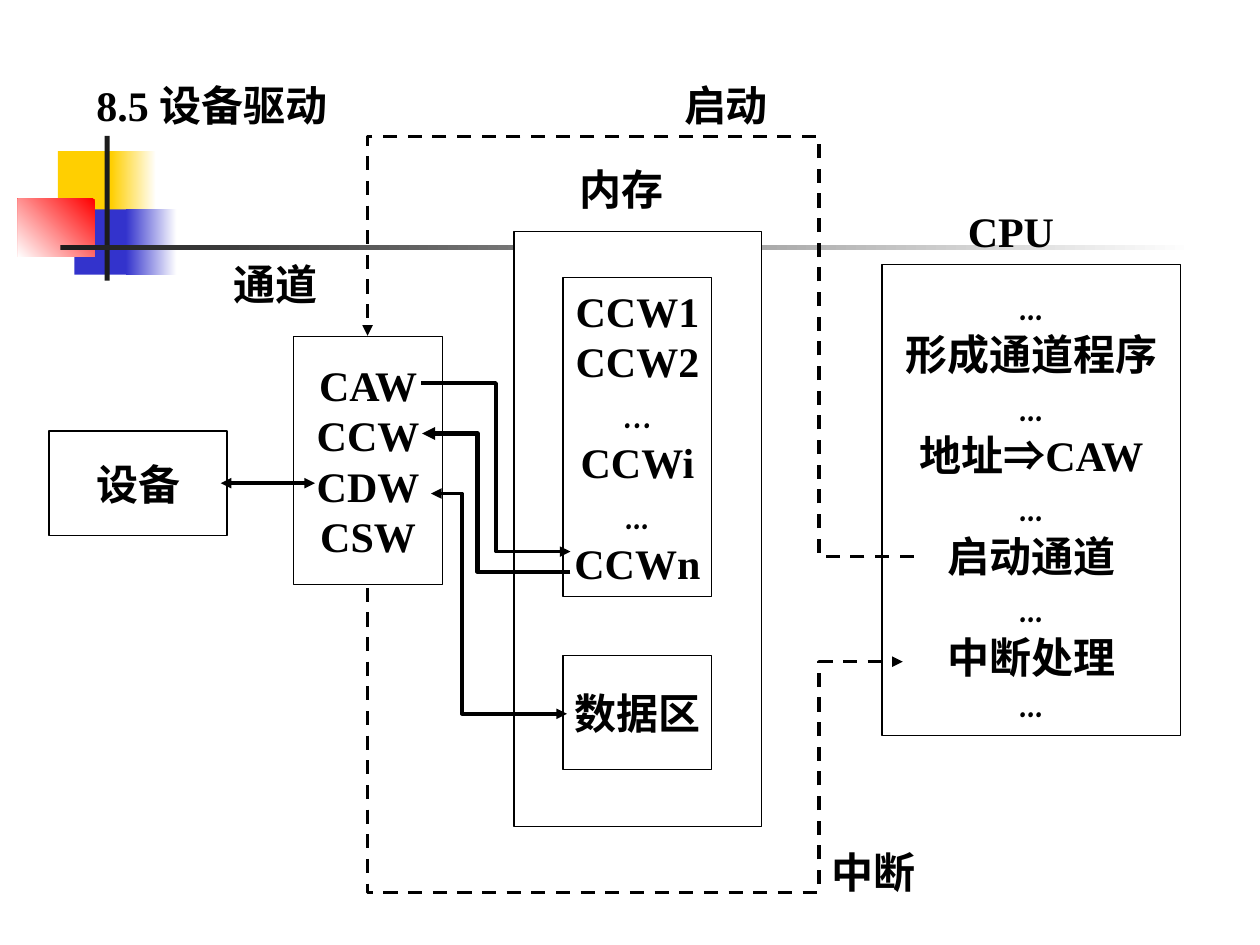
from lxml import etree
from pptx import Presentation
from pptx.dml.color import RGBColor
from pptx.enum.dml import MSO_LINE
from pptx.enum.shapes import MSO_CONNECTOR, MSO_SHAPE
from pptx.enum.text import MSO_ANCHOR, MSO_AUTO_SIZE, PP_ALIGN
from pptx.oxml.ns import qn
from pptx.util import Cm, Pt

RECTANGLE = MSO_SHAPE.RECTANGLE
STRAIGHT = MSO_CONNECTOR.STRAIGHT
DASH = MSO_LINE.DASH
TOP, MIDDLE = MSO_ANCHOR.TOP, MSO_ANCHOR.MIDDLE
NO_AUTOFIT = MSO_AUTO_SIZE.NONE
LEFT, CENTER = PP_ALIGN.LEFT, PP_ALIGN.CENTER

TITLE_ONLY = 5
BLACK, WHITE = "000000", "FFFFFF"
YELLOW, BLUE, RED, CHARCOAL = "FFCF01", "3333CC", "FF0000", "1C1C1C"
BODY_FONT = "Times New Roman"
SYMBOL_FONTS = {"...": "Comic Neue", "…": "Comic Neue", "⇒": "Arial"}

ORNAMENT = [
    (YELLOW, None, (1.17, 3.05, 1.22, 1.32)),
    (YELLOW, 0, (2.24, 3.05, 0.91, 1.32)),
    (BLUE, None, (1.5, 4.22, 1.17, 1.32)),
    (BLUE, 0, (2.54, 4.22, 1.02, 1.32)),
    (RED, 225, (0.36, 4.01, 1.55, 1.17)),
    (CHARCOAL, None, (2.11, 2.74, 0.1, 2.92)),
    (CHARCOAL, 0, (1.22, 4.94, 22.86, 0.1)),
]

CHANNEL_WORDS = ["CAW", "CCW", "CDW", "CSW"]
CHANNEL_PROGRAM = ["CCW1", "CCW2", "…", "CCWi", "...", "CCWn"]
CPU_STEPS = ["...", "形成通道程序", "...", "地址|⇒|CAW", "...",
             "启动通道", "...", "中断处理", "..."]

LABELS = [
    ("启动", 13.54, 1.48, 2.75),
    ("中断", 16.51, 16.93, 2.75),
    ("内存", 11.43, 3.18, 2.33),
    ("CPU", 19.26, 4.02, 2.75),
    ("通道", 4.45, 5.08, 2.54),
]


def color(hex_code):
    """Turn a hex string into a colour."""
    return RGBColor.from_string(hex_code)


def write_rows(frame, rows, align):
    """Write one paragraph per row, with a run for each part split by a bar."""
    for index, row in enumerate(rows):
        paragraph = frame.paragraphs[0] if index == 0 else frame.add_paragraph()
        paragraph.alignment = align
        for part in row.split("|"):
            run = paragraph.add_run()
            run.text = part
            run.font.name = SYMBOL_FONTS.get(part, BODY_FONT)
            run.font.size = Pt(24)
            run.font.bold = True
            run.font.color.rgb = color(BLACK)


def add_heading(slide, heading):
    """Place the section heading in the title placeholder."""
    title = slide.shapes.title
    title.left, title.top, title.width, title.height = map(Cm, (1.69, 1.48, 22.23, 1.27))
    frame = title.text_frame
    frame.auto_size = NO_AUTOFIT
    frame.vertical_anchor = TOP
    write_rows(frame, [heading], LEFT)


def add_ornament_bar(shapes, hue, fade_angle, bounds):
    """Add a solid bar, or one that fades to white along an angle."""
    bar = shapes.add_shape(RECTANGLE, *map(Cm, bounds))
    bar.shadow.inherit = False
    bar.line.fill.background()
    if fade_angle is None:
        bar.fill.solid()
        bar.fill.fore_color.rgb = color(hue)
        return
    bar.fill.gradient()
    bar.fill.gradient_angle = fade_angle
    for stop, stop_hue in zip(bar.fill.gradient_stops, (hue, WHITE)):
        stop.color.rgb = color(stop_hue)


def add_block(shapes, bounds, rows=()):
    """Add a white outlined block with centred rows."""
    block = shapes.add_shape(RECTANGLE, *map(Cm, bounds))
    block.shadow.inherit = False
    block.fill.solid()
    block.fill.fore_color.rgb = color(WHITE)
    block.line.color.rgb = color(BLACK)
    block.line.width = Pt(0.75)
    frame = block.text_frame
    frame.word_wrap = False
    frame.vertical_anchor = MIDDLE
    write_rows(frame, rows, CENTER)
    return frame


def add_label(shapes, caption, left, top, width):
    """Add a free-standing caption."""
    frame = shapes.add_textbox(Cm(left), Cm(top), Cm(width), Cm(1.27)).text_frame
    frame.word_wrap = True
    write_rows(frame, [caption], LEFT)


def style_line(line, ends, weight):
    """Colour a line and put arrowheads on the named ends."""
    line.color.rgb = color(BLACK)
    line.width = Pt(weight)
    outline = line._get_or_add_ln()
    for end in ends:
        etree.SubElement(outline, qn(f"a:{end}"), type="triangle")


def add_link(shapes, start, finish):
    """Add a straight two-way arrow."""
    link = shapes.add_connector(STRAIGHT, *map(Cm, start + finish))
    style_line(link.line, ("headEnd", "tailEnd"), 2)
    etree.SubElement(link._element.spPr, qn("a:effectLst"))


def add_route(shapes, corners, ends, weight=2, dashed=False):
    """Add an open angled route through the corners."""
    points = [(Cm(x), Cm(y)) for x, y in corners]
    builder = shapes.build_freeform(*points[0])
    builder.add_line_segments(points[1:], close=False)
    route = builder.convert_to_shape()
    route.shadow.inherit = False
    route.fill.background()
    if dashed:
        route.line.dash_style = DASH
    style_line(route.line, ends, weight)


def add_memory(shapes):
    """Group main memory with its channel program and data area."""
    memory = shapes.add_group_shape().shapes
    add_block(memory, (10.36, 4.67, 5, 11.99))
    add_block(memory, (11.35, 5.59, 3, 6.43), CHANNEL_PROGRAM)
    add_block(memory, (11.35, 13.21, 3, 2.31), ["数据区"])


def add_routes(shapes):
    """Draw the transfers and the start and interrupt signals."""
    add_link(shapes, (4.45, 9.74), (6.35, 9.74))
    add_route(shapes, [(11.5, 11.12), (10, 11.12), (10, 7.72), (8.49, 7.72)], ["headEnd"])
    add_route(shapes, [(8.69, 9.95), (9.31, 9.95), (9.31, 14.39), (11.43, 14.39)],
              ["headEnd", "tailEnd"])
    add_route(shapes, [(18.42, 11.22), (16.51, 11.22), (16.51, 2.75), (7.41, 2.75),
                       (7.41, 6.77)], ["tailEnd"], dashed=True)
    add_route(shapes, [(7.41, 11.85), (7.41, 17.99), (16.51, 17.99), (16.51, 13.34),
                       (18.2, 13.34)], ["tailEnd"], dashed=True)
    add_route(shapes, [(11.5, 11.53), (9.63, 11.53), (9.63, 8.74), (8.51, 8.74)],
              ["tailEnd"], weight=2.5)


def main():
    """Build the device driving slide."""
    deck = Presentation()
    deck.slide_width, deck.slide_height = Cm(25.4), Cm(19.05)
    slide = deck.slides.add_slide(deck.slide_layouts[TITLE_ONLY])
    shapes = slide.shapes
    for hue, fade_angle, bounds in ORNAMENT:
        add_ornament_bar(shapes, hue, fade_angle, bounds)
    add_heading(slide, "8.5 设备驱动")
    add_block(shapes, (0.99, 8.69, 3.59, 2.11), ["设备"])
    add_block(shapes, (5.92, 6.78, 3, 5), CHANNEL_WORDS)
    add_memory(shapes)
    cpu = add_block(shapes, (17.78, 5.33, 6.02, 9.5), CPU_STEPS)
    cpu.paragraphs[0].line_spacing = 1.1
    cpu.paragraphs[-1].line_spacing = 0.9
    add_routes(shapes)
    for label in LABELS:
        add_label(shapes, *label)
    deck.save("out.pptx")


if __name__ == "__main__":
    main()
